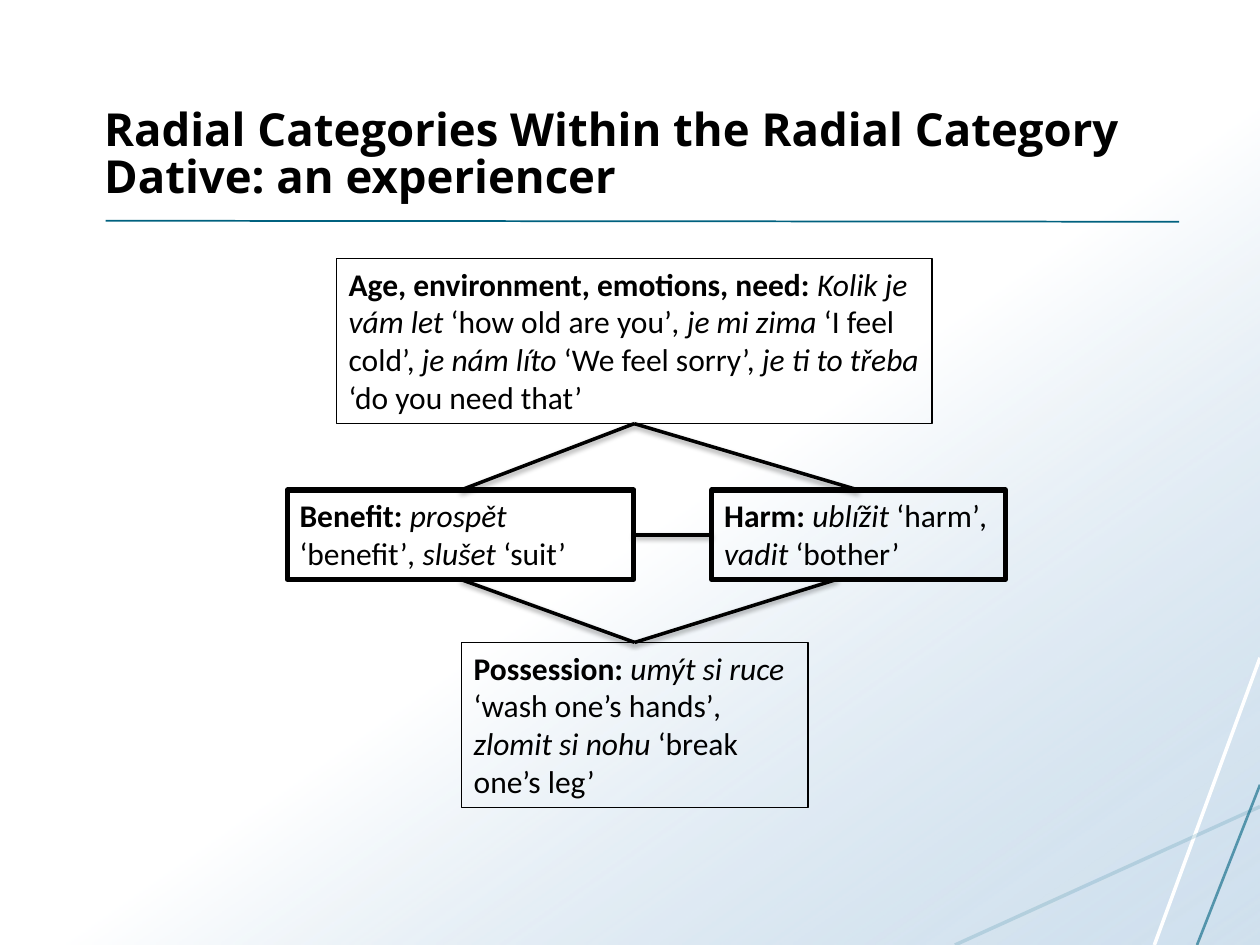
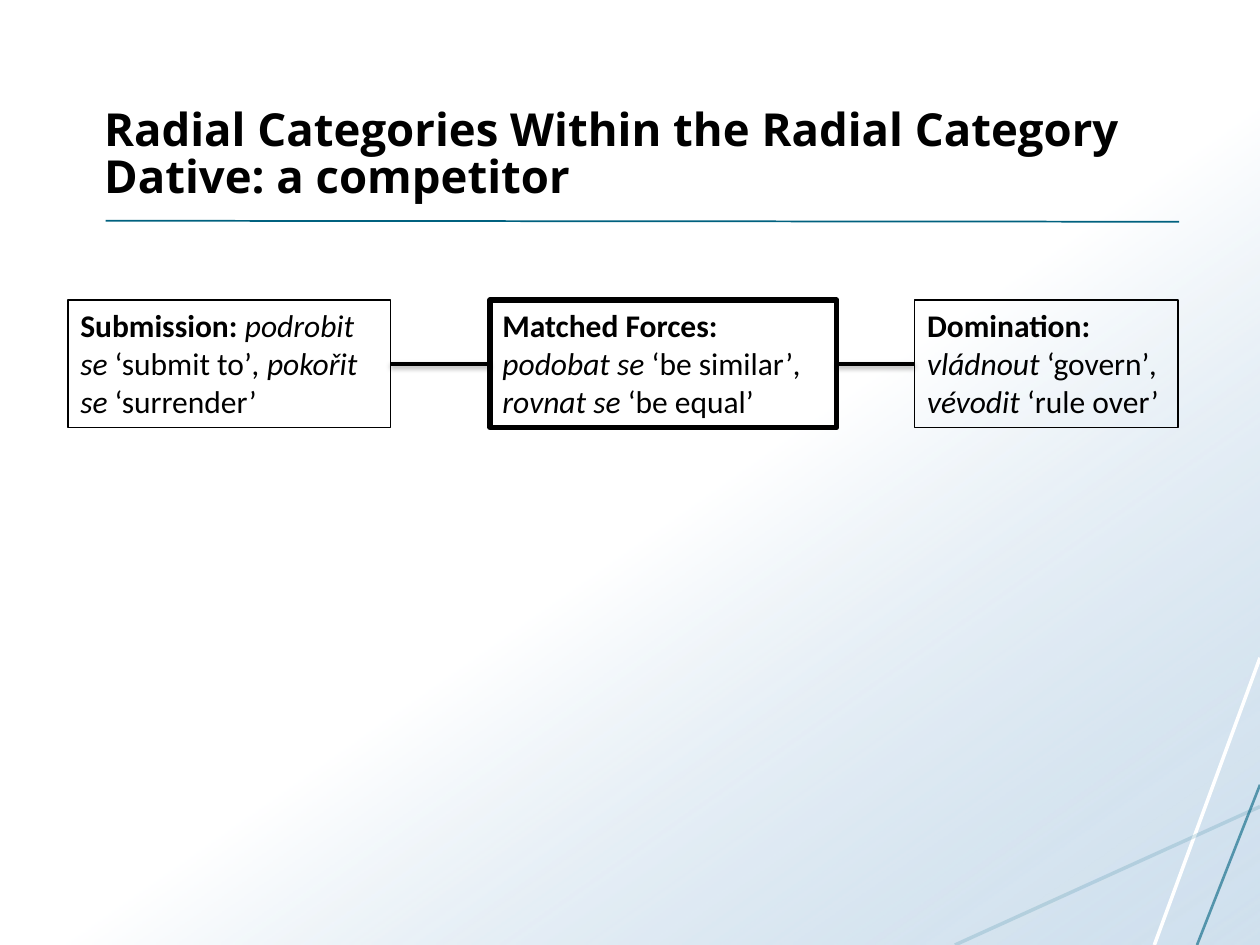
from dataclasses import dataclass
from typing import Optional

from lxml.etree import SubElement
from pptx import Presentation
from pptx.dml.color import RGBColor
from pptx.enum.shapes import MSO_CONNECTOR as Conn, MSO_SHAPE as Shape
from pptx.enum.text import MSO_ANCHOR as Anchor, MSO_AUTO_SIZE as AutoSize, PP_ALIGN as Align
from pptx.oxml.ns import qn
from pptx.util import Cm, Pt

BLACK, WHITE, SKY = "000000", "FFFFFF", "A9C7E0"
TEAL, LIGHT_TEAL = "00617F", "15718F"
TITLE_FONT, BODY_FONT = "Open Sans", "Calibri"
WIDTH, HEIGHT = 25.4, 19.05
TOP, LEFT, BOTTOM, RIGHT = range(4)  # connection sites of a rectangle


@dataclass
class Rule:
    x1: float
    y1: float
    x2: float
    y2: float
    color: str
    width: float
    opacity: Optional[int] = None


@dataclass
class Box:
    """A category; *stars* in examples enclose italic text."""
    name: str
    examples: str
    x: float
    y: float
    w: float
    h: float
    central: bool = False


@dataclass
class Link:
    start: str
    start_site: int
    end: str
    end_site: int
    shift: float = 0  # moves the start sideways, off its connection site


RULES = [
    Rule(WIDTH, 13.26, 23.27, HEIGHT, WHITE, 2),
    Rule(WIDTH, 16.26, 19.25, HEIGHT, LIGHT_TEAL, 2, 16),
    Rule(WIDTH, 15.82, 24.13, HEIGHT, TEAL, 1.5, 60),
    Rule(2.13, 4.45, 23.77, 4.47, TEAL, 1),
]

EXPERIENCER_BOXES = [
    Box("Benefit", "*prospět *‘benefit’*, slušet *‘suit’", 5.79, 9.88, 6.99, 1.8, True),
    Box("Possession", "*umýt si ruce *‘wash one’s hands’*, zlomit si nohu *‘break one’s leg’",
        9.3, 12.95, 6.99, 3.33),
    Box("Age, environment, emotions, need",
        "*Kolik je vám let *‘how old are you’*, je mi zima *‘I feel cold’, "
        "*je nám líto *‘We feel sorry’, *je ti to třeba *‘do you need that’",
        6.78, 5.21, 12.01, 3.33),
    Box("Harm", "*ublížit *‘harm’*, vadit *‘bother’", 14.35, 9.88, 5.92, 1.8, True),
]
EXPERIENCER_LINKS = [
    Link("Benefit", TOP, "Age, environment, emotions, need", BOTTOM),
    Link("Benefit", RIGHT, "Harm", LEFT),
    Link("Benefit", BOTTOM, "Possession", TOP),
    Link("Harm", BOTTOM, "Possession", TOP, shift=-0.44),
    Link("Age, environment, emotions, need", BOTTOM, "Harm", TOP),
]

ROW_Y, ROW_H = 6.05, 2.57
COMPETITOR_BOXES = [
    Box("Matched Forces", "*podobat se *‘be similar’*, rovnat se *‘be equal’",
        9.88, ROW_Y, 6.99, ROW_H, True),
    Box("Submission", "*podrobit se *‘submit to’*, pokořit se *‘surrender’",
        1.37, ROW_Y, 6.5, ROW_H),
    Box("Domination", "*vládnout *‘govern’*, vévodit *‘rule over’",
        18.44, ROW_Y, 5.31, ROW_H),
]
COMPETITOR_LINKS = [
    Link("Submission", RIGHT, "Matched Forces", LEFT),
    Link("Matched Forces", RIGHT, "Domination", LEFT),
]


def rgb(color: str) -> RGBColor:
    return RGBColor.from_string(color)


def add_alpha(clr, opacity: int) -> None:
    SubElement(clr, qn("a:alpha"), val=str(opacity * 1000))


def add_text(p, text: str, *, size: float = 18, font: str = BODY_FONT,
             color: str = BLACK, bold: bool = False, italic: bool = False) -> None:
    r = p.add_run()
    r.text = text
    f = r.font
    f.size, f.name, f.bold, f.italic = Pt(size), font, bold, italic
    f.color.rgb = rgb(color)


def add_line(slide, x1: float, y1: float, x2: float, y2: float, color: str, width: float):
    """Draw a straight line and return it with its empty effect list."""
    line = slide.shapes.add_connector(Conn.STRAIGHT, Cm(x1), Cm(y1), Cm(x2), Cm(y2))
    line.line.color.rgb = rgb(color)
    line.line.width = Pt(width)
    return line, SubElement(line.element.spPr, qn("a:effectLst"))


def add_background(slide) -> None:
    sp = slide.shapes.add_shape(Shape.RECTANGLE, 0, 0, Cm(WIDTH), Cm(HEIGHT))
    sp.shadow.inherit = False
    sp.line.fill.background()
    sp.fill.gradient()
    sp.fill.gradient_angle = 360 - 55
    for stop, position, color in zip(sp.fill.gradient_stops, (0.54, 1), (WHITE, SKY)):
        stop.position = position
        stop.color.rgb = rgb(color)
    add_alpha(list(sp.element.spPr.iter(qn("a:srgbClr")))[-1], 54)
    for rule in RULES:
        line, _ = add_line(slide, rule.x1, rule.y1, rule.x2, rule.y2, rule.color, rule.width)
        if rule.opacity is not None:
            add_alpha(next(line.element.spPr.iter(qn("a:srgbClr"))), rule.opacity)


def add_title(slide, role: str) -> None:
    tf = slide.shapes.add_textbox(Cm(1.85), Cm(0.84), Cm(21.89), Cm(3.38)).text_frame
    tf.word_wrap = True
    tf.vertical_anchor = Anchor.BOTTOM
    p = tf.paragraphs[0]
    p.line_spacing = 0.87
    style = dict(size=26, font=TITLE_FONT, bold=True)
    add_text(p, "Radial Categories Within the Radial Category", **style)
    p.add_line_break()
    add_text(p, f"Dative: {role}", **style)


def add_box(slide, box: Box):
    sp = slide.shapes.add_shape(Shape.RECTANGLE, Cm(box.x), Cm(box.y), Cm(box.w), Cm(box.h))
    sp.shadow.inherit = False
    sp.fill.background()
    sp.line.color.rgb = rgb(BLACK)
    sp.line.width = Pt(3 if box.central else 0.75)
    tf = sp.text_frame
    tf.word_wrap = True
    tf.auto_size = AutoSize.SHAPE_TO_FIT_TEXT
    tf.vertical_anchor = Anchor.TOP
    p = tf.paragraphs[0]
    p.alignment = Align.LEFT
    add_text(p, f"{box.name}: ", bold=True)
    for i, part in enumerate(box.examples.split("*")):
        if part:
            add_text(p, part, italic=i % 2 == 1)
    return sp


def site_point(box: Box, site: int) -> tuple[float, float]:
    across = {LEFT: 0, RIGHT: 1}.get(site, 0.5)
    down = {TOP: 0, BOTTOM: 1}.get(site, 0.5)
    return box.x + across * box.w, box.y + down * box.h


def add_link(slide, link: Link, boxes: dict, shapes: dict) -> None:
    x1, y1 = site_point(boxes[link.start], link.start_site)
    x2, y2 = site_point(boxes[link.end], link.end_site)
    line, effects = add_line(slide, x1 + link.shift, y1, x2, y2, BLACK, 2)
    if not link.shift:
        line.begin_connect(shapes[link.start], link.start_site)
    line.end_connect(shapes[link.end], link.end_site)
    shadow = SubElement(effects, qn("a:outerShdw"), blurRad=str(Pt(3.1)), dist=str(Pt(1.6)),
                        dir=str(90 * 60000), rotWithShape="0")
    add_alpha(SubElement(shadow, qn("a:srgbClr"), val=BLACK), 38)


def add_category_slide(prs, role: str, boxes: list[Box], links: list[Link]) -> None:
    slide = prs.slides.add_slide(prs.slide_layouts[6])
    add_background(slide)
    add_title(slide, role)
    by_name = {box.name: box for box in boxes}
    shapes = {box.name: add_box(slide, box) for box in boxes}
    for link in links:
        add_link(slide, link, by_name, shapes)


def main() -> None:
    prs = Presentation()
    prs.slide_width, prs.slide_height = Cm(WIDTH), Cm(HEIGHT)
    add_category_slide(prs, "an experiencer", EXPERIENCER_BOXES, EXPERIENCER_LINKS)
    add_category_slide(prs, "a competitor", COMPETITOR_BOXES, COMPETITOR_LINKS)
    prs.save("out.pptx")


if __name__ == "__main__":
    main()
